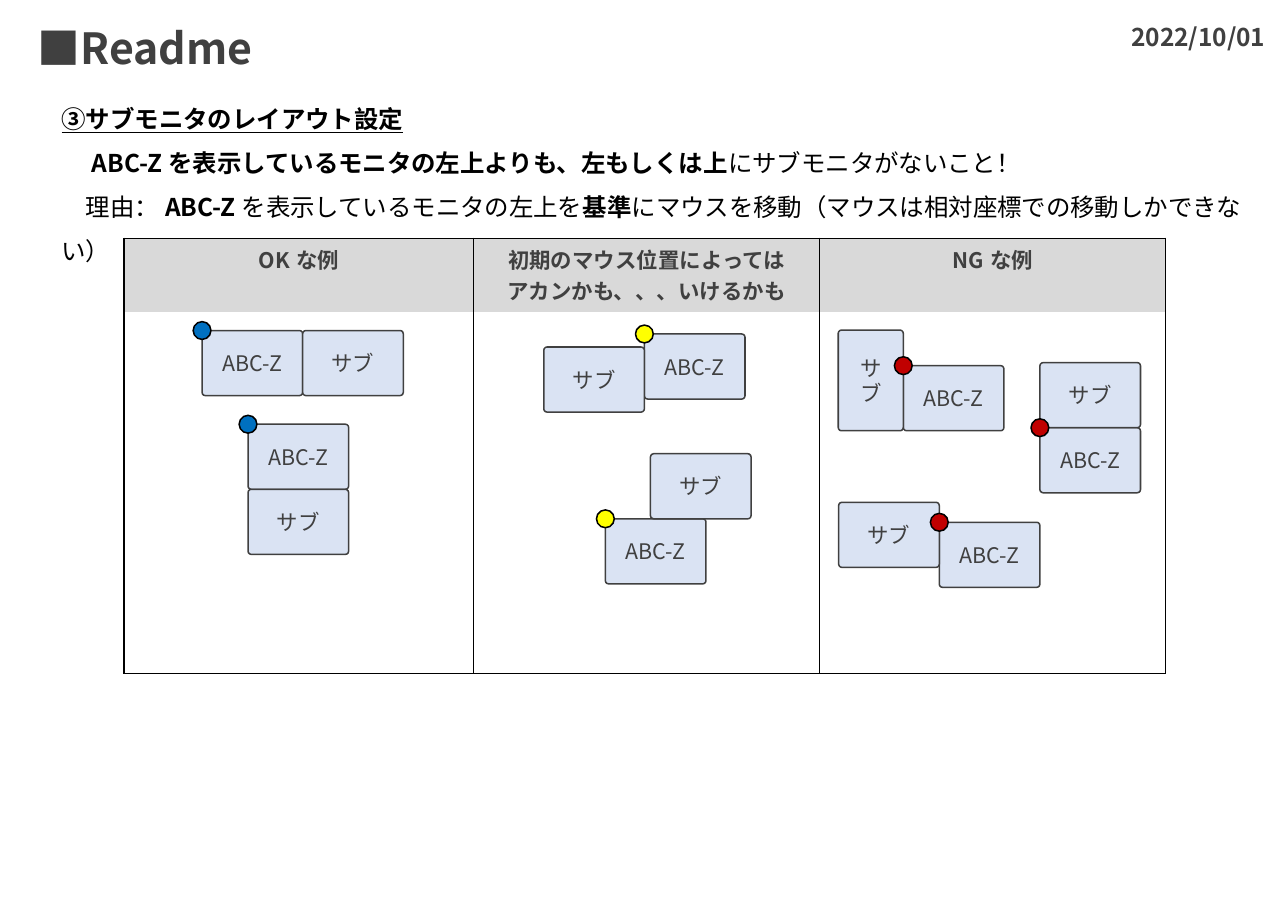
"""Build the Readme slide about the sub-monitor layout setting."""
from dataclasses import dataclass

from lxml import etree
from pptx import Presentation
from pptx.dml.color import RGBColor
from pptx.enum.shapes import MSO_SHAPE
from pptx.enum.text import MSO_ANCHOR, MSO_AUTO_SIZE, PP_ALIGN
from pptx.oxml.ns import qn
from pptx.util import Cm, Pt

LEFT, CENTER, RIGHT = PP_ALIGN.LEFT, PP_ALIGN.CENTER, PP_ALIGN.RIGHT
TOP, MIDDLE = MSO_ANCHOR.TOP, MSO_ANCHOR.MIDDLE
NO_FIT = MSO_AUTO_SIZE.NONE
ROUNDED, OVAL = MSO_SHAPE.ROUNDED_RECTANGLE, MSO_SHAPE.OVAL
TITLE_ONLY = 5

MONITOR_WIDTH, MONITOR_HEIGHT = 2.32, 1.5
DOT_SIZE = 0.41


@dataclass(frozen=True)
class Theme:
    font: str = "Noto Sans CJK JP"
    ink: str = "404040"
    black: str = "000000"
    header: str = "D9D9D9"
    monitor: str = "DAE3F3"
    ok: str = "0070C0"
    maybe: str = "FFFF00"
    ng: str = "C00000"
    title_size: int = 28
    body_size: int = 16
    label_size: int = 14
    line_width: int = 1


class SlideBuilder:
    def __init__(self, page, theme):
        self.page = page
        self.theme = theme

    def add_lines(self, frame, lines, size, color, align=LEFT, spacing=1.0):
        for index, spans in enumerate(lines):
            para = frame.add_paragraph() if index else frame.paragraphs[0]
            para.alignment = align
            para.line_spacing = spacing
            for text, bold, underline in spans:
                span = para.add_run()
                span.text = text
                font = span.font
                font.name, font.size = self.theme.font, Pt(size)
                font.bold, font.underline = bold, underline
                font.color.rgb = RGBColor.from_string(color)
                east_asian = etree.Element(qn("a:ea"), typeface=self.theme.font)
                span._r.get_or_add_rPr().find(qn("a:latin")).addnext(east_asian)

    def set_frame(self, frame, inset=0, anchor=TOP):
        frame.word_wrap = True
        frame.auto_size = NO_FIT
        frame.vertical_anchor = anchor
        frame.margin_left = frame.margin_right = Cm(inset)
        frame.margin_top = frame.margin_bottom = 0

    def title(self, text, left, top, width, height):
        box = self.page.shapes.title
        box.left, box.top, box.width, box.height = map(Cm, (left, top, width, height))
        self.set_frame(box.text_frame)
        self.add_lines(box.text_frame, [[(text, True, False)]], self.theme.title_size, self.theme.ink)

    def text(self, lines, left, top, width, height, color, align=LEFT, spacing=1.0):
        box = self.page.shapes.add_textbox(*map(Cm, (left, top, width, height)))
        self.set_frame(box.text_frame)
        self.add_lines(box.text_frame, lines, self.theme.body_size, color, align, spacing)

    def borders(self, cell, visible):
        properties = cell._tc.get_or_add_tcPr()
        for index, side in enumerate("LRTB"):
            line = etree.Element(qn(f"a:ln{side}"), w=str(Pt(self.theme.line_width)))
            if side in visible:
                fill = etree.SubElement(line, qn("a:solidFill"))
                etree.SubElement(fill, qn("a:srgbClr"), val=self.theme.black)
            else:
                etree.SubElement(line, qn("a:noFill"))
            properties.insert(index, line)

    def table(self, headings, left, top, widths, heights):
        size = (left, top, sum(widths), sum(heights))
        table = self.page.shapes.add_table(2, len(headings), *map(Cm, size)).table
        for row, height in zip(table.rows, heights):
            row.height = Cm(height)
        for index, (lines, width) in enumerate(zip(headings, widths)):
            table.columns[index].width = Cm(width)
            head, body = table.cell(0, index), table.cell(1, index)
            head.fill.solid()
            head.fill.fore_color.rgb = RGBColor.from_string(self.theme.header)
            body.fill.background()
            self.borders(head, "LRT")
            self.borders(body, "LRB")
            spans = [[(line, True, False)] for line in lines]
            self.add_lines(head.text_frame, spans, self.theme.label_size, self.theme.ink, CENTER)

    def shape(self, group, kind, left, top, width, height, fill, line):
        shape = group.shapes.add_shape(kind, *map(Cm, (left, top, width, height)))
        shape.shadow.inherit = False
        shape.fill.solid()
        shape.fill.fore_color.rgb = RGBColor.from_string(fill)
        shape.line.color.rgb = RGBColor.from_string(line)
        shape.line.width = Pt(self.theme.line_width)
        return shape

    def monitor(self, group, label, left, top, width, height):
        box = self.shape(group, ROUNDED, left, top, width, height, self.theme.monitor, self.theme.ink)
        box.adjustments[0] = 0.05
        self.set_frame(box.text_frame, 0.3, MIDDLE)
        self.add_lines(box.text_frame, [[(label, False, False)]], self.theme.label_size, self.theme.ink, CENTER)

    def example(self, color, left, top, sub_right, sub_down, upright=False):
        group = self.page.shapes.add_group_shape()
        size = (MONITOR_WIDTH, MONITOR_HEIGHT)
        self.monitor(group, "ABC-Z", left, top, *size)
        sub_size = size[::-1] if upright else size
        self.monitor(group, "サブ", left + sub_right, top + sub_down, *sub_size)
        radius = DOT_SIZE / 2
        self.shape(group, OVAL, left - radius, top - radius, DOT_SIZE, DOT_SIZE, color, self.theme.black)


def main():
    deck = Presentation()
    deck.slide_width, deck.slide_height = Cm(29.7), Cm(21)
    theme = Theme()
    slide = SlideBuilder(deck.slides.add_slide(deck.slide_layouts[TITLE_ONLY]), theme)

    slide.table(
        [["OKな例"], ["初期のマウス位置によっては", "アカンかも、、、いけるかも"], ["NGな例"]],
        2.86, 5.49, (8.06, 7.98, 7.98), (1.7, 8.33),
    )
    slide.title("■Readme", 0.87, 0.5, 12, 1.2)
    slide.text([[("2022/10/01", True, False)]], 25.3, 0.5, 3.88, 0.7, theme.ink, RIGHT)
    explanation = [
        [("③サブモニタのレイアウト設定", True, True)],
        [
            ("　ABC-Zを表示しているモニタの左上よりも、左もしくは上", True, False),
            ("にサブモニタがないこと！", False, False),
        ],
        [
            ("　理由：", False, False),
            ("ABC-Z", True, False),
            ("を表示しているモニタの左上を", False, False),
            ("基準", True, False),
            ("にマウスを移動（マウスは相対座標での移動しかできない）", False, False),
        ],
    ]
    slide.text(explanation, 1.42, 2.06, 28.27, 2.9, theme.black, spacing=1.5)

    examples = [
        (theme.ok, 4.66, 7.62, MONITOR_WIDTH, 0),
        (theme.ok, 5.72, 9.78, 0, MONITOR_HEIGHT),
        (theme.maybe, 14.86, 7.7, -MONITOR_WIDTH, 0.3),
        (theme.maybe, 13.96, 11.96, 1.04, -MONITOR_HEIGHT),
        (theme.ng, 20.83, 8.43, -MONITOR_HEIGHT, -0.82, True),
        (theme.ng, 23.98, 9.86, 0, -MONITOR_HEIGHT),
        (theme.ng, 21.66, 12.04, -MONITOR_WIDTH, -0.46),
    ]
    for example in examples:
        slide.example(*example)

    deck.save("out.pptx")


main()
